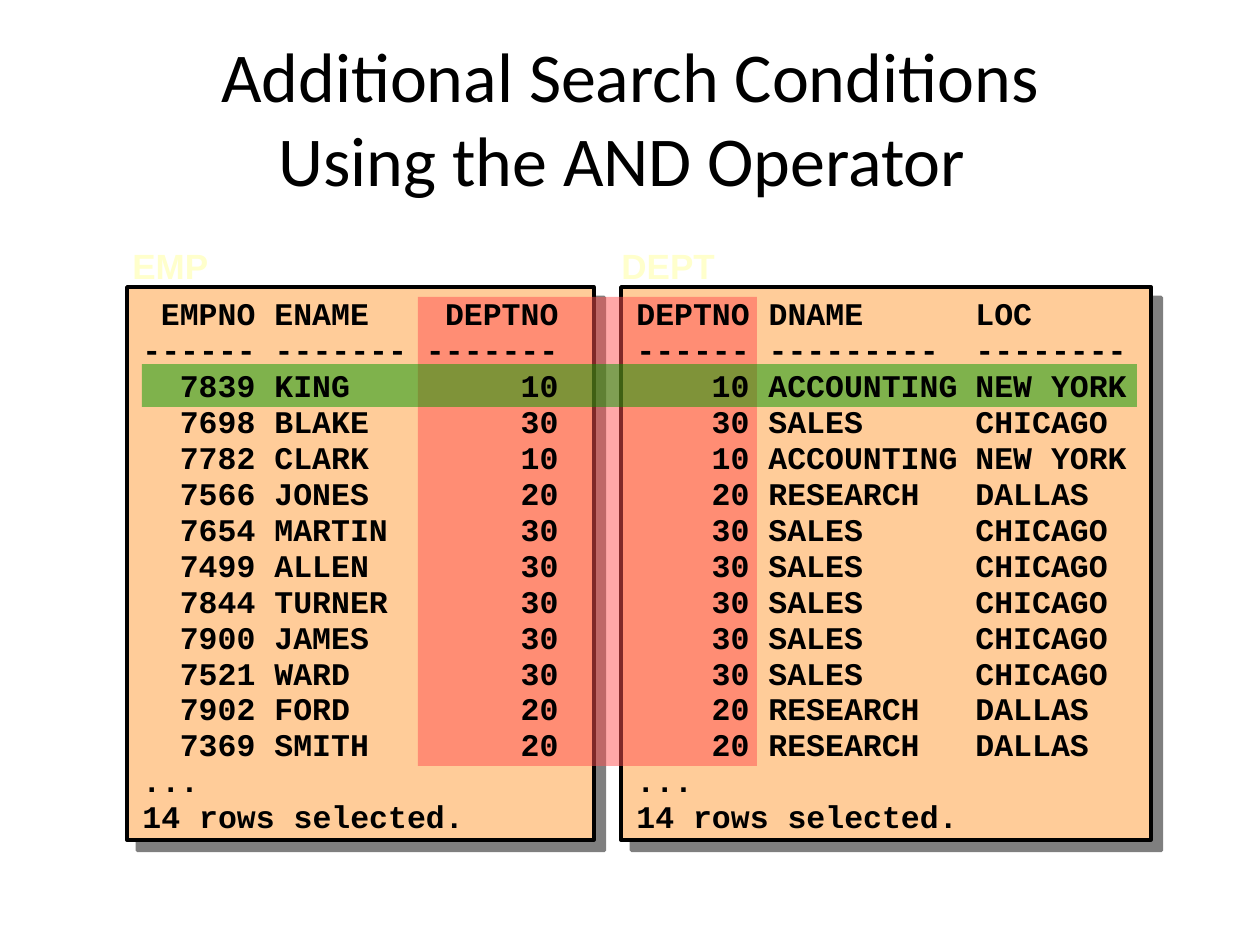
from pptx import Presentation
from pptx.dml.color import RGBColor
from pptx.enum.shapes import MSO_SHAPE as Shape
from pptx.enum.text import MSO_ANCHOR as Anchor, MSO_AUTO_SIZE as Fit, PP_ALIGN as Align
from pptx.oxml.ns import qn
from pptx.util import Pt
from lxml.etree import SubElement

PX = 914400 / 126
THEME = {
    "panel": "FFCC99", "border": "000000", "column": "FF5050", "row": "009900",
    "title": {"name": "Calibri", "size": 40, "bold": False, "color": "000000"},
    "label": {"name": "Arial", "size": 20, "bold": True, "color": "FFFFCC"},
    "listing": {"name": "Courier New", "size": 18, "bold": True, "color": "000000"},
}

EMP_ROWS = [
    (7839, "KING", 10), (7698, "BLAKE", 30), (7782, "CLARK", 10), (7566, "JONES", 20),
    (7654, "MARTIN", 30), (7499, "ALLEN", 30), (7844, "TURNER", 30), (7900, "JAMES", 30),
    (7521, "WARD", 30), (7902, "FORD", 20), (7369, "SMITH", 20),
]
DEPARTMENTS = {
    10: ("ACCOUNTING", "NEW YORK"),
    20: ("RESEARCH", "DALLAS"),
    30: ("SALES", "CHICAGO"),
}
FOOTER = ["...", "14 rows selected."]
emp_lines = ["\tEMPNO\tENAME\tDEPTNO", "------ ------- -------"]
dept_lines = ["DEPTNO DNAME\tLOC", "------ ---------\t--------"]
for empno, ename, deptno in EMP_ROWS:
    dname, loc = DEPARTMENTS[deptno]
    emp_lines.append(f"\t{empno}\t{ename}\t{deptno}")
    dept_lines.append(f"\t{deptno}\t{dname}\t{loc}")

# Column stops in px from the text edge: right-aligned numbers, left-aligned words
EMP_STOPS = [(113, "r"), (132, "l"), (416, "r")]
DEPT_STOPS = [(113, "r"), (132, "l"), (339, "l")]


def add_block(page, bounds, color, alpha=100):
    """Add a rectangle without outline or shadow, filled at alpha percent opacity."""
    block = page.shapes.add_shape(Shape.RECTANGLE, *[round(n * PX) for n in bounds])
    block.shadow.inherit = False
    block.fill.solid()
    block.fill.fore_color.rgb = RGBColor.from_string(color)
    block.line.fill.background()
    if alpha < 100:
        tint = block._element.spPr.find(qn("a:solidFill"))[0]
        SubElement(tint, qn("a:alpha"), val=str(alpha * 1000))
    return block


def add_text(page, bounds, lines, style, stops=(), para_format=None, **frame_format):
    """Add a text box with one paragraph per line, all in one style."""
    box = page.shapes.add_textbox(*[round(n * PX) for n in bounds])
    for key, value in ({"word_wrap": True} | frame_format).items():
        setattr(box.text_frame, key, value)
    for index, line in enumerate(lines):
        para = box.text_frame.paragraphs[0] if index == 0 else box.text_frame.add_paragraph()
        if stops:
            tabs = SubElement(para._p.get_or_add_pPr(), qn("a:tabLst"))
            for place, side in stops:
                SubElement(tabs, qn("a:tab"), pos=str(round(place * PX)), algn=side)
        para.text = line
        for key, value in (para_format or {}).items():
            setattr(para, key, value)
        font = para.font
        for key, value in {"name": style["name"], "size": Pt(style["size"]),
                           "bold": style["bold"]}.items():
            setattr(font, key, value)
        font.color.rgb = RGBColor.from_string(style["color"])


deck = Presentation()
deck.slide_width, deck.slide_height = round(1260 * PX), round(945 * PX)
page = deck.slides.add_slide(deck.slide_layouts[6])

# Panels with a hard shadow at the lower right
for left, width in [(127, 467), (621, 530)]:
    panel = add_block(page, (left, 287, width, 553), THEME["panel"])
    panel.line.color.rgb = RGBColor.from_string(THEME["border"])
    panel.line.width = Pt(2)
    effects = panel._element.spPr.find(qn("a:effectLst"))
    shadow = SubElement(effects, qn("a:outerShdw"), dist=str(Pt(8.5)), dir="2700000",
                        algn="ctr", rotWithShape="0")
    shade = SubElement(shadow, qn("a:srgbClr"), val=THEME["border"])
    SubElement(shade, qn("a:alpha"), val="50000")

add_text(page, (63, 38, 1134, 157), ["Additional Search Conditions\vUsing the AND Operator "],
         THEME["title"], para_format={"alignment": Align.CENTER},
         vertical_anchor=Anchor.MIDDLE)
for label, left, width in [("EMP", 120, 111), ("DEPT", 609, 128)]:
    add_text(page, (left, 238, width, 54), [label], THEME["label"],
             word_wrap=False, auto_size=Fit.SHAPE_TO_FIT_TEXT)

# Highlights: the joined columns and the matching row
add_block(page, (418, 297, 339, 469), THEME["column"], alpha=50)
add_block(page, (142, 364, 995, 43), THEME["row"], alpha=50)

for left, width, lines, stops in [(130, 462, emp_lines, EMP_STOPS),
                                  (624, 525, dept_lines, DEPT_STOPS)]:
    add_text(page, (left, 291, width, 552), lines + FOOTER, THEME["listing"], stops,
             {"line_spacing": 0.95}, auto_size=Fit.SHAPE_TO_FIT_TEXT)

deck.save("out.pptx")
